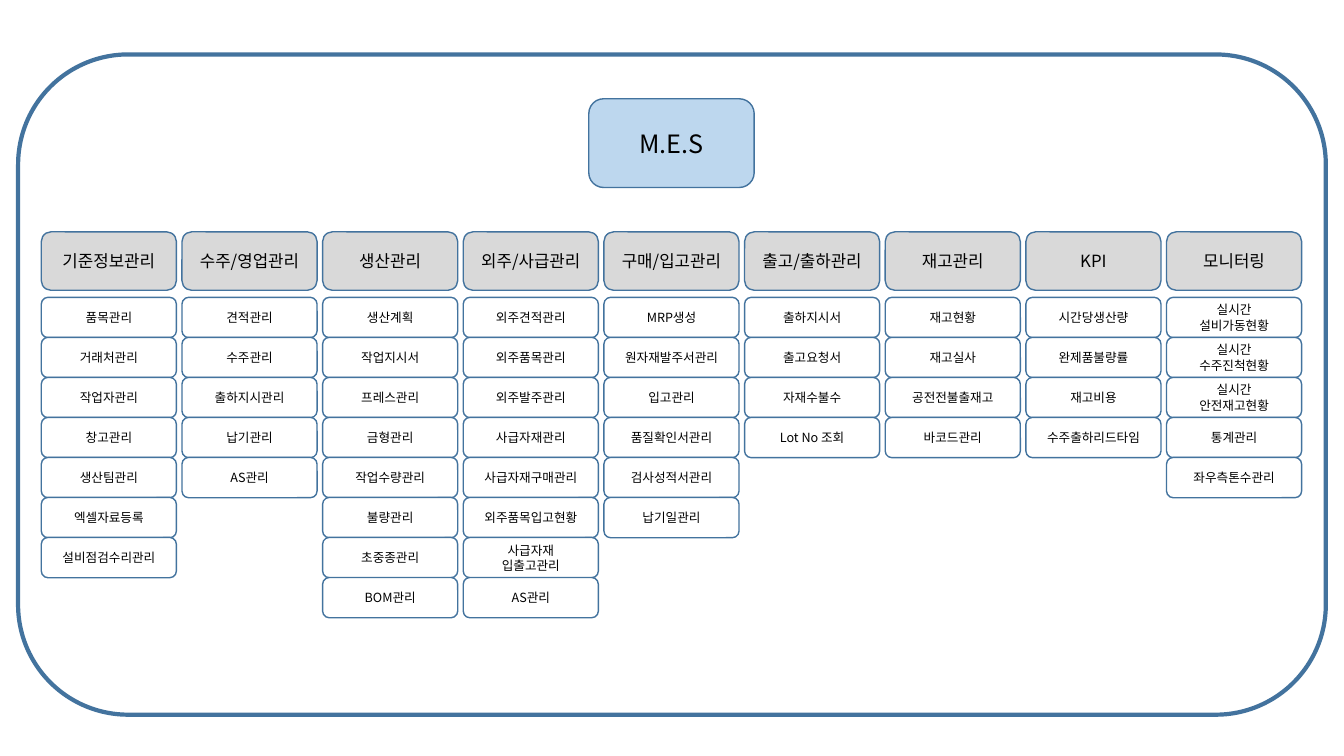
from lxml.etree import SubElement
from pptx import Presentation
from pptx.dml.color import RGBColor
from pptx.enum.shapes import MSO_SHAPE
from pptx.enum.text import MSO_ANCHOR, PP_ALIGN
from pptx.oxml.ns import qn
from pptx.util import Inches, Pt

MODULES = {
    "기준정보관리": ["품목관리", "거래처관리", "작업자관리", "창고관리", "생산팀관리",
               "엑셀자료등록", "설비점검수리관리"],
    "수주/영업관리": ["견적관리", "수주관리", "출하지시관리", "납기관리", "AS관리"],
    "생산관리": ["생산계획", "작업지시서", "프레스관리", "금형관리", "작업수량관리",
             "불량관리", "초중종관리", "BOM관리"],
    "외주/사급관리": ["외주견적관리", "외주품목관리", "외주발주관리", "사급자재관리",
                "사급자재구매관리", "외주품목입고현황", "사급자재\n입출고관리", "AS관리"],
    "구매/입고관리": ["MRP생성", "원자재발주서관리", "입고관리", "품질확인서관리",
                "검사성적서관리", "납기일관리"],
    "출고/출하관리": ["출하지시서", "출고요청서", "자재수불수", "Lot No 조회"],
    "재고관리": ["재고현황", "재고실사", "공전전불출재고", "바코드관리"],
    "KPI": ["시간당생산량", "완제품불량률", "재고비용", "수주출하리드타임"],
    "모니터링": ["실시간\n설비가동현황", "실시간\n수주진척현황", "실시간\n안전재고현황",
             "통계관리", "좌우측톤수관리"],
}


def rgb(color):
    return RGBColor.from_string(color)


def write(tf, text, size=9, color="000000", font="Noto Sans CJK KR"):
    tf.word_wrap = True
    tf.vertical_anchor = MSO_ANCHOR.MIDDLE
    tf.margin_left = tf.margin_right = tf.margin_top = tf.margin_bottom = 0
    for i, line in enumerate(text.split("\n")):
        p = tf.paragraphs[0] if i == 0 else tf.add_paragraph()
        p.alignment = PP_ALIGN.CENTER
        r = p.add_run()
        r.text = line
        r.font.size = Pt(size)
        r.font.color.rgb = rgb(color)
        r.font.name = font
        SubElement(r.font._element, qn("a:ea"), typeface=font)


class ModuleMap:
    """Draws a map of rounded boxes on a grid of columns and rows."""

    LINE, ROOT, HEAD, ITEM = "43739E", "BDD7EE", "D9D9D9", "FFFFFF"
    LEFT, COLUMN, WIDTH = 0.41, 1.395, 1.34
    HEAD_TOP, HEAD_HEIGHT = 2.3, 0.58
    TOP, ROW, HEIGHT = 2.95, 0.397, 0.4

    def __init__(self, s):
        self.s = s

    def box(self, x, y, w, h, fill=None, weight=1, text="", **style):
        sp = self.s.shapes.add_shape(MSO_SHAPE.ROUNDED_RECTANGLE,
                                     *map(Inches, (x, y, w, h)))
        sp.shadow.inherit = False
        sp.line.color.rgb = rgb(self.LINE)
        sp.line.width = Pt(weight)
        if fill:
            sp.fill.solid()
            sp.fill.fore_color.rgb = rgb(fill)
        else:
            sp.fill.background()
        if text:
            write(sp.text_frame, text, **style)

    def frame(self):
        self.box(0.18, 0.54, 12.97, 6.55, weight=3)

    def root(self, text):
        self.box(5.84, 0.98, 1.64, 0.88, self.ROOT, text=text, size=18)

    def head(self, column, text):
        self.box(self.LEFT + column * self.COLUMN, self.HEAD_TOP, self.WIDTH,
                 self.HEAD_HEIGHT, self.HEAD, text=text, size=12)

    def item(self, column, row, text):
        self.box(self.LEFT + column * self.COLUMN, self.TOP + row * self.ROW,
                 self.WIDTH, self.HEIGHT, self.ITEM, text=text)


def main():
    prs = Presentation()
    prs.slide_width, prs.slide_height = Inches(13.33), Inches(7.5)
    chart = ModuleMap(prs.slides.add_slide(prs.slide_layouts[6]))
    chart.frame()
    chart.root("M.E.S")
    for column, (name, items) in enumerate(MODULES.items()):
        chart.head(column, name)
        for row, text in enumerate(items):
            chart.item(column, row, text)
    prs.save("out.pptx")


if __name__ == "__main__":
    main()
